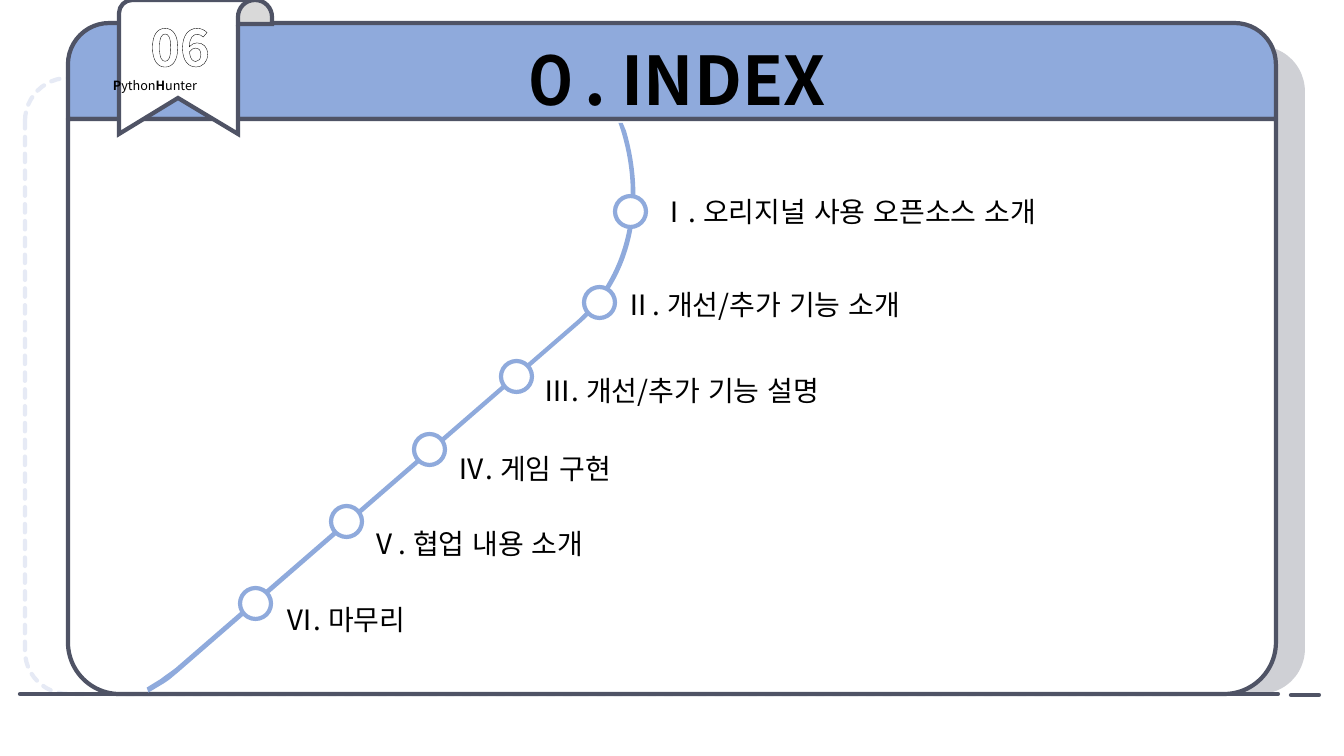
import math

import pptx
import pptx.util
import pptx.dml.color
import pptx.enum.dml
import pptx.enum.shapes
import pptx.enum.text
import pptx.oxml
import pptx.oxml.ns
from lxml import etree

RGB = pptx.dml.color.RGBColor
SHAPE = pptx.enum.shapes.MSO_SHAPE
ALIGN = pptx.enum.text.PP_ALIGN
qn = pptx.oxml.ns.qn

SCALE = 914400 / 100.8
FONT = "Noto Sans CJK KR"
BLACK = RGB(0, 0, 0)
WHITE = RGB(0xFF, 0xFF, 0xFF)
INK = RGB(0x4F, 0x53, 0x65)
BLUE = RGB(0x8F, 0xAA, 0xDC)
PALE = RGB(0xE6, 0xEA, 0xF5)
GREY = RGB(0xD9, 0xD9, 0xD9)

# Stop position, label position, label text
STOPS = [
    ((615, 196), (651, 190), "Ⅰ. 오리지널 사용 오픈소스 소개"),
    ((584, 287), (615, 283), "Ⅱ. 개선/추가 기능 소개"),
    ((501, 361), (534, 369), "Ⅲ. 개선/추가 기능 설명"),
    ((414, 434), (448, 447), "Ⅳ. 게임 구현"),
    ((331, 506), (361, 522), "Ⅴ. 협업 내용 소개"),
    ((240, 588), (276, 598), "Ⅵ. 마무리"),
]

# Outlines: two numbers are a corner, six are a curve
RIBBON = [(132, 0), (253, 0), (253, 3), (250, 5), (243, 10, 238, 18, 238, 27),
          (238, 134), (178, 98), (119, 134), (119, 13), (119, 6, 125, 0, 132, 0)]
RIBBON_FOLD = [(255, 0), (265, 0, 272, 8, 272, 17), (272, 24), (238, 24),
               (238, 17), (238, 8, 245, 0, 255, 0)]
ROAD = [(620, 124), (622, 124), (625, 131), (646, 203, 632, 276, 580, 322),
        (178, 671), (173, 675, 169, 679, 164, 682), (149, 691), (148, 688),
        (161, 680), (166, 676, 171, 673, 176, 669), (578, 321),
        (629, 275, 644, 201, 622, 130)]
ROAD_ANGLE = 319


def px(value):
    return pptx.util.Emu(round(value * SCALE))


def paint(shape, fill, line=None, width=3):
    shape.shadow.inherit = False
    shape.fill.solid()
    shape.fill.fore_color.rgb = fill
    if line is None:
        shape.line.fill.background()
    else:
        shape.line.color.rgb = line
        shape.line.width = pptx.util.Pt(width)
    return shape


def round_caps(shape):
    shape.element.spPr.find(qn("a:ln")).set("cap", "rnd")


def add_panel(shapes, kind, box, adjustments, fill, line=None):
    panel = shapes.add_shape(kind, *map(px, box))
    for index, value in enumerate(adjustments):
        panel.adjustments[index] = value
    return paint(panel, fill, line)


def add_rule(shapes, left, right, y):
    rule = shapes.add_connector(pptx.enum.shapes.MSO_CONNECTOR.STRAIGHT,
                                px(left), px(y), px(right), px(y))
    rule.line.color.rgb = INK
    rule.line.width = pptx.util.Pt(3)
    round_caps(rule)
    etree.SubElement(rule.element.spPr, qn("a:effectLst"))


def rotate(x, y, angle):
    cos, sin = math.cos(math.radians(angle)), math.sin(math.radians(angle))
    return x * cos - y * sin, x * sin + y * cos


def add_outline(shapes, outline, fill, line, width=3, angle=0):
    # Lay the outline flat; the shape's rotation turns it back
    points = [rotate(*part[i:i + 2], -angle)
              for part in outline for i in range(0, len(part), 2)]
    corners = [(px(x), px(y)) for x, y in points]
    builder = shapes.build_freeform(*corners[0], scale=1.0)
    builder.add_line_segments(corners[1:], close=True)
    shape = builder.convert_to_shape()

    # Merge the three points of each curve into one segment
    segments = iter(list(shape.element.spPr.iter(qn("a:lnTo"))))
    for part in outline[1:]:
        segment = next(segments)
        if len(part) == 6:
            curve = etree.Element(qn("a:cubicBezTo"))
            segment.addprevious(curve)
            for piece in (segment, next(segments), next(segments)):
                curve.append(piece[0])
                piece.getparent().remove(piece)

    center = rotate(shape.left + shape.width / 2, shape.top + shape.height / 2, angle)
    shape.left = round(center[0] - shape.width / 2)
    shape.top = round(center[1] - shape.height / 2)
    shape.rotation = angle
    paint(shape, fill, line, width)
    etree.SubElement(shape.element.spPr.find(qn("a:ln")), qn("a:miter"), lim="800000")


def add_run(paragraph, text, size, bold=False, color=BLACK):
    run = paragraph.add_run()
    run.text = text
    run.font.size = pptx.util.Pt(size)
    run.font.bold = bold
    run.font.color.rgb = color
    run.font.name = FONT
    run.font.language_id = pptx.enum.lang.MSO_LANGUAGE_ID.KOREAN
    east_asian = etree.Element(qn("a:ea"), typeface=FONT)
    run.font._element.find(qn("a:latin")).addnext(east_asian)
    return run


def set_frame(frame):
    frame.word_wrap = True
    frame.auto_size = pptx.enum.text.MSO_AUTO_SIZE.SHAPE_TO_FIT_TEXT
    frame.vertical_anchor = pptx.enum.text.MSO_ANCHOR.TOP
    return frame


def add_text_box(shapes, box):
    return set_frame(shapes.add_textbox(*map(px, box)).text_frame)


def add_window(shapes):
    shadow = add_panel(shapes, SHAPE.ROUNDED_RECTANGLE, (105, 46, 1200, 648), [0.07], INK)
    color = shadow.element.spPr.find(qn("a:solidFill"))[0]
    etree.SubElement(color, qn("a:alpha"), val="27000")
    dashed = add_panel(shapes, SHAPE.ROUNDED_RECTANGLE, (25, 78, 1200, 616),
                       [0.07], WHITE, PALE)
    dashed.line.dash_style = pptx.enum.dml.MSO_LINE.SQUARE_DOT
    round_caps(dashed)
    top_rounded = SHAPE.ROUND_2_SAME_RECTANGLE
    add_panel(shapes, top_rounded, (68, 23, 1208, 96), [0.43, 0], BLUE, INK)
    add_panel(shapes, top_rounded, (68, 119, 1208, 575), [0, 0.09], WHITE, INK)
    add_rule(shapes, 20, 1278, 694)
    add_rule(shapes, 1291, 1319, 695)
    add_outline(shapes, RIBBON, WHITE, INK)
    add_outline(shapes, RIBBON_FOLD, GREY, INK)


def add_badge(shapes):
    frame = add_text_box(shapes, (77, 11, 206, 89))
    number = frame.paragraphs[0]
    number.alignment = ALIGN.CENTER
    digits = add_run(number, "06", 36, True, WHITE)
    digits.font._element.insert(0, pptx.oxml.parse_xml(
        '<a:ln xmlns:a="http://schemas.openxmlformats.org/drawingml/2006/main" w="38100">'
        '<a:solidFill><a:srgbClr val="000000"/></a:solidFill></a:ln>'))
    team = frame.add_paragraph()
    team.space_before = pptx.util.Pt(1)
    team.alignment = ALIGN.LEFT
    team._p.get_or_add_pPr().set("marL", str(px(26)))
    for text, bold in (("P", True), ("ython", False), ("H", True), ("unter", False)):
        add_run(team, text, 9, bold)


def place_title(title):
    title.left, title.top, title.width, title.height = map(px, (304, 33, 735, 92))
    heading = set_frame(title.text_frame).paragraphs[0]
    heading.alignment = ALIGN.CENTER
    add_run(heading, "０. INDEX", 48, True)
    # Bring the heading in front of the window
    title.element.getparent().append(title.element)


def main():
    deck = pptx.Presentation()
    deck.slide_width, deck.slide_height = px(1344), px(756)
    slide = deck.slides.add_slide(deck.slide_layouts[5])
    shapes = slide.shapes

    # Window, ribbon and heading
    add_window(shapes.add_group_shape().shapes)
    add_badge(shapes)
    place_title(shapes.title)

    # Road with its stops
    add_outline(shapes, ROAD, BLUE, BLUE, 1.5, ROAD_ANGLE)
    for stop, _, _ in STOPS:
        add_panel(shapes, SHAPE.OVAL, (*stop, 31, 31), [], WHITE, BLUE)
    for _, corner, text in STOPS:
        label = add_text_box(shapes, (*corner, 457, 44))
        add_run(label.paragraphs[0], text, 20)

    deck.save("out.pptx")


main()
